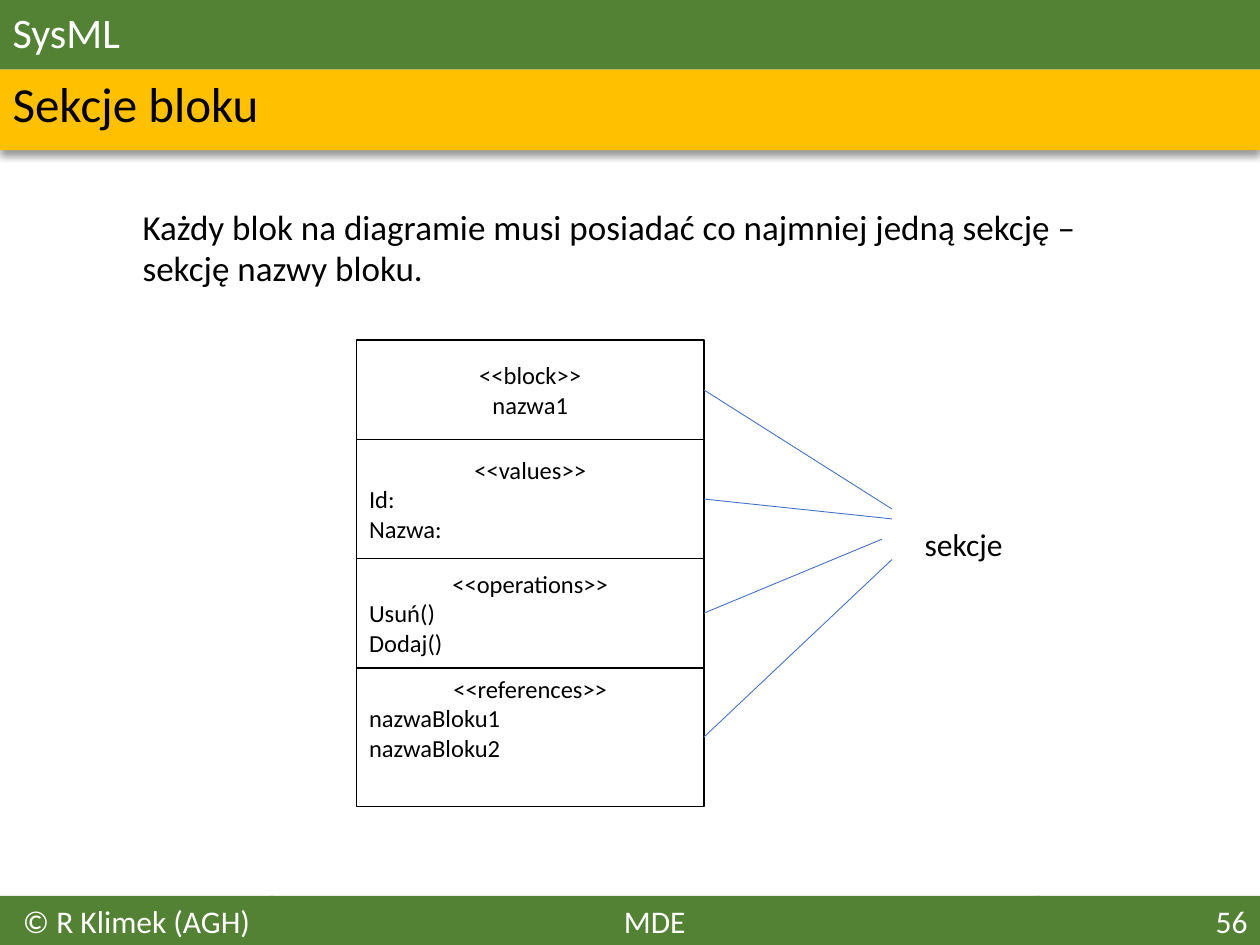
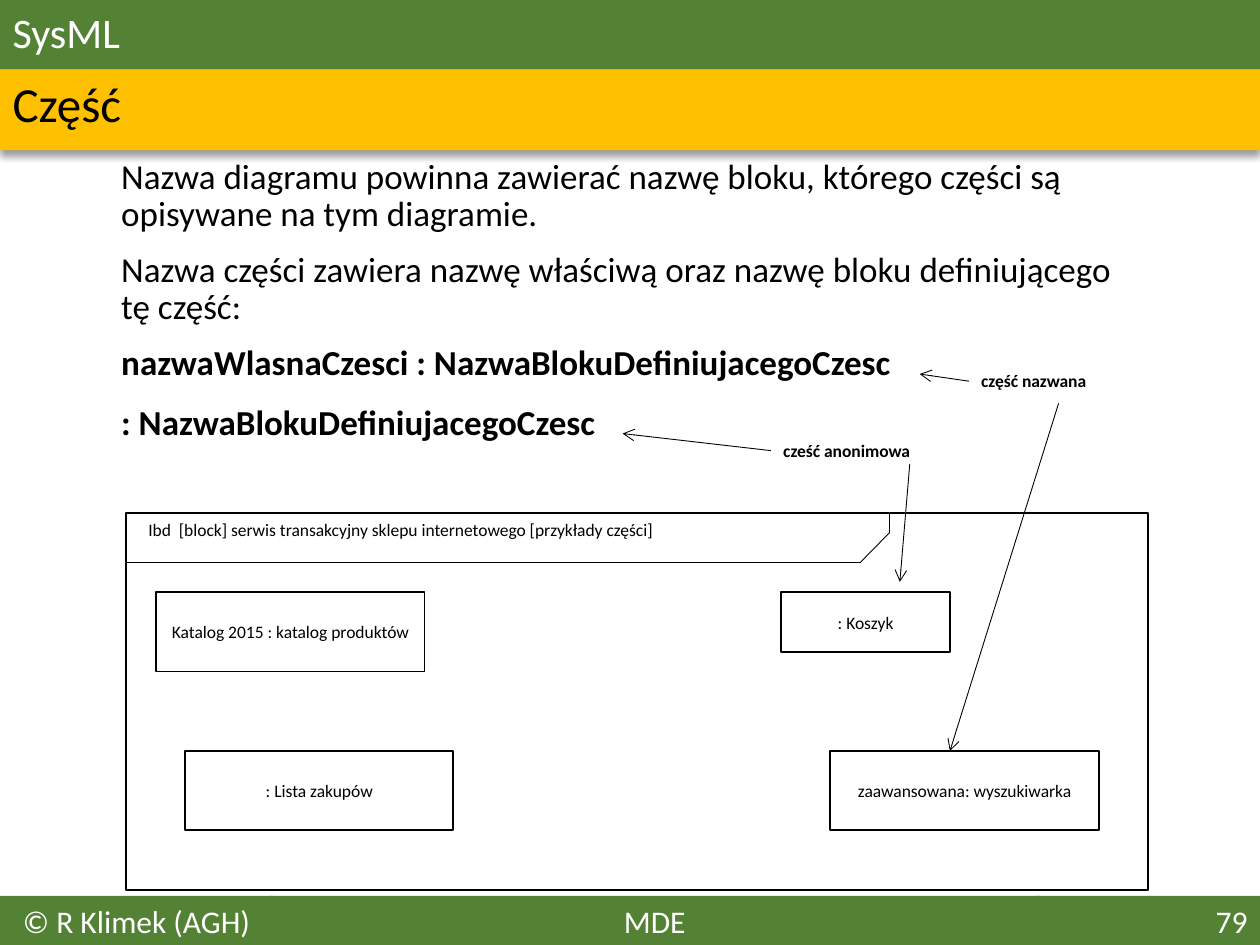
from dataclasses import dataclass
from itertools import pairwise

from lxml.etree import SubElement
from pptx import Presentation
from pptx.dml.color import RGBColor
from pptx.enum.shapes import MSO_CONNECTOR as Connector, MSO_SHAPE as Shape
from pptx.enum.text import MSO_ANCHOR as Anchor, MSO_AUTO_SIZE as AutoSize, PP_ALIGN as Align
from pptx.oxml.ns import qn
from pptx.util import Cm, Pt

FONT = "Calibri"
GREEN, AMBER, BLUE, BLACK, WHITE = "548235", "FFC000", "4472C4", "000000", "FFFFFF"
TOP, LEFT, BOTTOM, RIGHT = range(4)
SLIDE_WIDTH, SLIDE_HEIGHT = 25.4, 19.05
TITLE_HEIGHT = 1.4
FOOTER_TOP = 18.06
SECTION_LEFT, SECTION_TOP, SECTION_WIDTH = 7.19, 6.86, 7.0


@dataclass(frozen=True)
class Box:
    left: float
    top: float
    width: float
    height: float

    def lengths(self) -> tuple:
        return Cm(self.left), Cm(self.top), Cm(self.width), Cm(self.height)


@dataclass(frozen=True)
class FooterPart:
    left: float
    width: float
    text: str
    align: Align


@dataclass(frozen=True)
class Section:
    height: float
    lines: tuple[str, ...]
    pointer_end: tuple[float, float]
    bottom_inset: float = 0.13


@dataclass(frozen=True)
class Part:
    box: Box
    text: str


@dataclass(frozen=True)
class BodyParagraph:
    text: str
    bold: bool = False
    space_before: float = 10
    line_spacing: float = 0.9


SECTIONS = (
    Section(2.0, ("<<block>>", "nazwa1"), (17.98, 10.26)),
    Section(2.4, ("<<values>>", "Id:", "Nazwa:"), (17.98, 10.46)),
    Section(2.2, ("<<operations>>", "Usuń()", "Dodaj()"), (17.78, 10.87)),
    Section(2.8, ("<<references>>", "nazwaBloku1", "nazwaBloku2"), (17.98, 11.28), 0.9),
)
PARTS = (
    Part(Box(3.15, 11.94, 5.41, 1.6), "Katalog 2015 : katalog produktów"),
    Part(Box(15.75, 11.94, 3.4, 1.2), ": Koszyk"),
    Part(Box(3.73, 15.14, 5.41, 1.6), ": Lista zakupów"),
    Part(Box(16.74, 15.14, 5.41, 1.6), "zaawansowana: wyszukiwarka"),
)
FRAME = Box(2.54, 10.34, 20.6, 7.6)
FRAME_TAB = ((2.54, 11.33), (17.35, 11.33), (17.93, 10.74), (17.93, 10.34))


def rgb(color: str) -> RGBColor:
    return RGBColor.from_string(color)


def format_paragraph(paragraph, size: float, color: str = BLACK, bold: bool = False,
                     align: Align = Align.LEFT) -> None:
    paragraph.alignment = align
    for run in paragraph.runs:
        run.font.name = FONT
        run.font.size = Pt(size)
        run.font.bold = bold
        run.font.color.rgb = rgb(color)


def remove_bullet(paragraph, left_indent: float = 0) -> None:
    properties = paragraph._p.get_or_add_pPr()
    properties.set("marL", str(Cm(left_indent)))
    properties.set("indent", "0")
    SubElement(properties, qn("a:buNone"))


def place(shape, box: Box) -> None:
    shape.left, shape.top, shape.width, shape.height = box.lengths()
    shape.text_frame.auto_size = AutoSize.NONE
    shape.text_frame.word_wrap = True


def add_rectangle(slide, box: Box, fill: str | None = None, line: str | None = None):
    shape = slide.shapes.add_shape(Shape.RECTANGLE, *box.lengths())
    shape.shadow.inherit = False
    if fill:
        shape.fill.solid()
        shape.fill.fore_color.rgb = rgb(fill)
    else:
        shape.fill.background()
    if line:
        shape.line.color.rgb = rgb(line)
        shape.line.width = Pt(1)
    else:
        shape.line.fill.background()
    return shape


def add_label(slide, box: Box, text: str, size: float, bold: bool = False, wrap: bool = True):
    label = slide.shapes.add_textbox(*box.lengths())
    label.text_frame.word_wrap = wrap
    label.text_frame.text = text
    format_paragraph(label.text_frame.paragraphs[0], size, bold=bold)
    return label


def add_line(slide, start: tuple[float, float], end: tuple[float, float],
             color: str = BLACK, arrow: bool = False):
    points = [Cm(value) for value in (*start, *end)]
    connector = slide.shapes.add_connector(Connector.STRAIGHT, *points)
    connector.line.color.rgb = rgb(color)
    connector.line.width = Pt(0.5)
    if arrow:
        SubElement(connector.line._get_or_add_ln(), qn("a:tailEnd"), type="arrow")
    SubElement(connector._element.spPr, qn("a:effectLst"))
    return connector


def add_subtitle_band(slide) -> None:
    band = add_rectangle(slide, Box(0, TITLE_HEIGHT, SLIDE_WIDTH, 1.63), AMBER)
    effects = band._element.spPr.find(qn("a:effectLst"))
    shadow = SubElement(effects, qn("a:outerShdw"), blurRad=str(Pt(4)), dist=str(Pt(3)),
                        dir="5400000", algn="t", rotWithShape="0")
    shadow_color = SubElement(shadow, qn("a:srgbClr"), val=BLACK)
    SubElement(shadow_color, qn("a:alpha"), val="40000")
    slide.shapes._spTree.insert(2, band._element)


def add_footer(slide, number: int) -> None:
    footer_parts = (
        FooterPart(5.44, 15.52, "MDE", Align.CENTER),
        FooterPart(0, 5.51, "© R Klimek (AGH)", Align.CENTER),
        FooterPart(20.88, 4.52, str(number), Align.RIGHT),
    )
    for part in footer_parts:
        box = Box(part.left, FOOTER_TOP, part.width, SLIDE_HEIGHT - FOOTER_TOP)
        shape = add_rectangle(slide, box, GREEN)
        shape.text_frame.vertical_anchor = Anchor.TOP
        shape.text_frame.text = part.text
        format_paragraph(shape.text_frame.paragraphs[0], 18, WHITE, align=part.align)


def add_base_slide(presentation, subtitle_text: str, number: int):
    slide = presentation.slides.add_slide(presentation.slide_layouts[3])
    for placeholder in list(slide.placeholders):
        if placeholder.placeholder_format.idx >= 10:
            placeholder._element.getparent().remove(placeholder._element)
    title, subtitle = slide.shapes.title, slide.placeholders[1]
    place(title, Box(0, 0, SLIDE_WIDTH, TITLE_HEIGHT))
    place(subtitle, Box(0, TITLE_HEIGHT, 25.35, 1.5))
    title.fill.solid()
    title.fill.fore_color.rgb = rgb(GREEN)
    for shape, text, size, color in ((title, "SysML", 24, WHITE),
                                     (subtitle, subtitle_text, 28, BLACK)):
        shape.text_frame.text = text
        shape.text_frame.vertical_anchor = Anchor.MIDDLE
        paragraph = shape.text_frame.paragraphs[0]
        paragraph.line_spacing = 0.9
        format_paragraph(paragraph, size, color)
    subtitle_paragraph = subtitle.text_frame.paragraphs[0]
    subtitle_paragraph.space_before = Pt(10)
    remove_bullet(subtitle_paragraph)
    add_subtitle_band(slide)
    add_footer(slide, number)
    return slide


def fill_body(slide, box: Box, top_inset: float, content: tuple[BodyParagraph, ...]) -> None:
    body = slide.placeholders[2]
    place(body, box)
    frame = body.text_frame
    frame.margin_top = Cm(top_inset)
    frame.vertical_anchor = Anchor.TOP
    frame.text = "\n".join(item.text for item in content)
    for paragraph, item in zip(frame.paragraphs, content):
        paragraph.line_spacing = item.line_spacing
        paragraph.space_before = Pt(item.space_before)
        format_paragraph(paragraph, 20, bold=item.bold)
        remove_bullet(paragraph, 0.64)


def build_sections_slide(presentation) -> None:
    slide = add_base_slide(presentation, "Sekcje bloku", 56)
    sentence = ("Każdy blok na diagramie musi posiadać co najmniej jedną sekcję – "
                "sekcję nazwy bloku.")
    fill_body(slide, Box(1.98, 3.84, 20.22, 3.4), 0.36,
              (BodyParagraph(sentence, line_spacing=0.97),))
    top = SECTION_TOP
    for section in SECTIONS:
        box = Box(SECTION_LEFT, top, SECTION_WIDTH, section.height)
        shape = add_rectangle(slide, box, line=BLACK)
        frame = shape.text_frame
        frame.vertical_anchor = Anchor.MIDDLE
        frame.margin_bottom = Cm(section.bottom_inset)
        frame.text = "\n".join(section.lines)
        for paragraph in frame.paragraphs:
            centred = paragraph.text.startswith("<<") or section is SECTIONS[0]
            format_paragraph(paragraph, 14, align=Align.CENTER if centred else Align.LEFT)
        middle = (SECTION_LEFT + SECTION_WIDTH, top + section.height / 2)
        pointer = add_line(slide, middle, section.pointer_end, BLUE)
        pointer.begin_connect(shape, RIGHT)
        top += section.height
    add_label(slide, Box(18.39, 10.46, 2.11, 1.02), "sekcje", 18, wrap=False)


def build_parts_slide(presentation) -> None:
    slide = add_base_slide(presentation, "Część", 79)
    fill_body(slide, Box(1.55, 2.95, 21.23, 6.6), 0.25, (
        BodyParagraph("Nazwa diagramu powinna zawierać nazwę bloku, którego części są "
                      "opisywane na tym diagramie."),
        BodyParagraph("Nazwa części zawiera nazwę właściwą oraz nazwę bloku definiującego "
                      "tę część:"),
        BodyParagraph("nazwaWlasnaCzesci : NazwaBlokuDefiniujacegoCzesc", bold=True),
        BodyParagraph(": NazwaBlokuDefiniujacegoCzesc", bold=True, space_before=13),
    ))
    add_rectangle(slide, FRAME, line=BLACK)
    for start, end in pairwise(FRAME_TAB):
        add_line(slide, start, end)
    add_label(slide, Box(2.74, 10.34, 13.41, 0.69),
              "Ibd  [block] serwis transakcyjny sklepu internetowego [przykłady części]", 10)
    for part in PARTS:
        shape = add_rectangle(slide, part.box, line=BLACK)
        shape.text_frame.vertical_anchor = Anchor.MIDDLE
        shape.text_frame.text = part.text
        format_paragraph(shape.text_frame.paragraphs[0], 10, align=Align.CENTER)
    named = add_label(slide, Box(19.53, 7.34, 5.0, 0.69), "część nazwana", 10, bold=True)
    anonymous = add_label(slide, Box(15.54, 8.74, 3.1, 0.69), "cześć anonimowa", 10,
                          bold=True, wrap=False)
    for label, start, end in ((named, (19.53, 7.69), (18.54, 7.54)),
                              (anonymous, (15.54, 9.09), (12.55, 8.74))):
        add_line(slide, start, end, arrow=True).begin_connect(label, LEFT)
    add_line(slide, (18.34, 9.35), (18.14, 11.73), arrow=True)
    add_line(slide, (21.34, 8.13), (19.15, 15.14), arrow=True)


def main() -> None:
    presentation = Presentation()
    presentation.slide_width = Cm(SLIDE_WIDTH)
    presentation.slide_height = Cm(SLIDE_HEIGHT)
    build_sections_slide(presentation)
    build_parts_slide(presentation)
    presentation.save("out.pptx")


if __name__ == "__main__":
    main()
